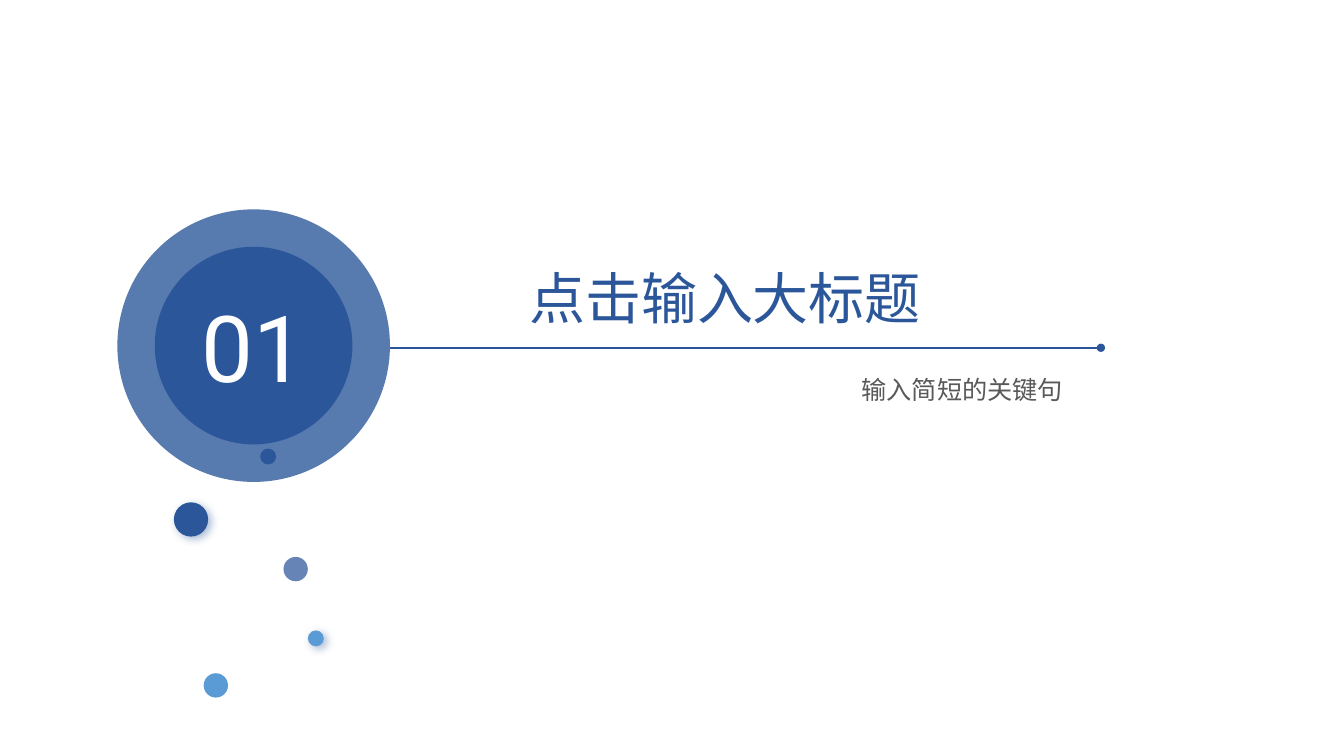
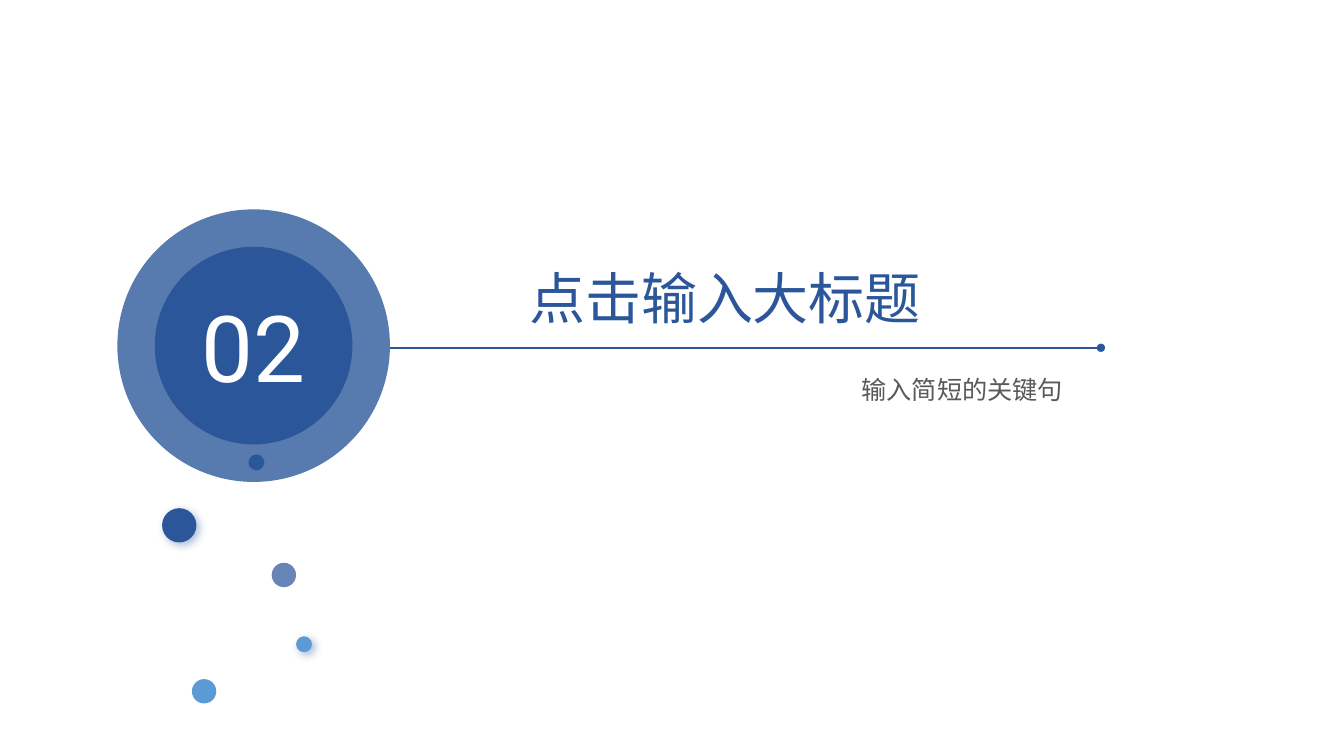
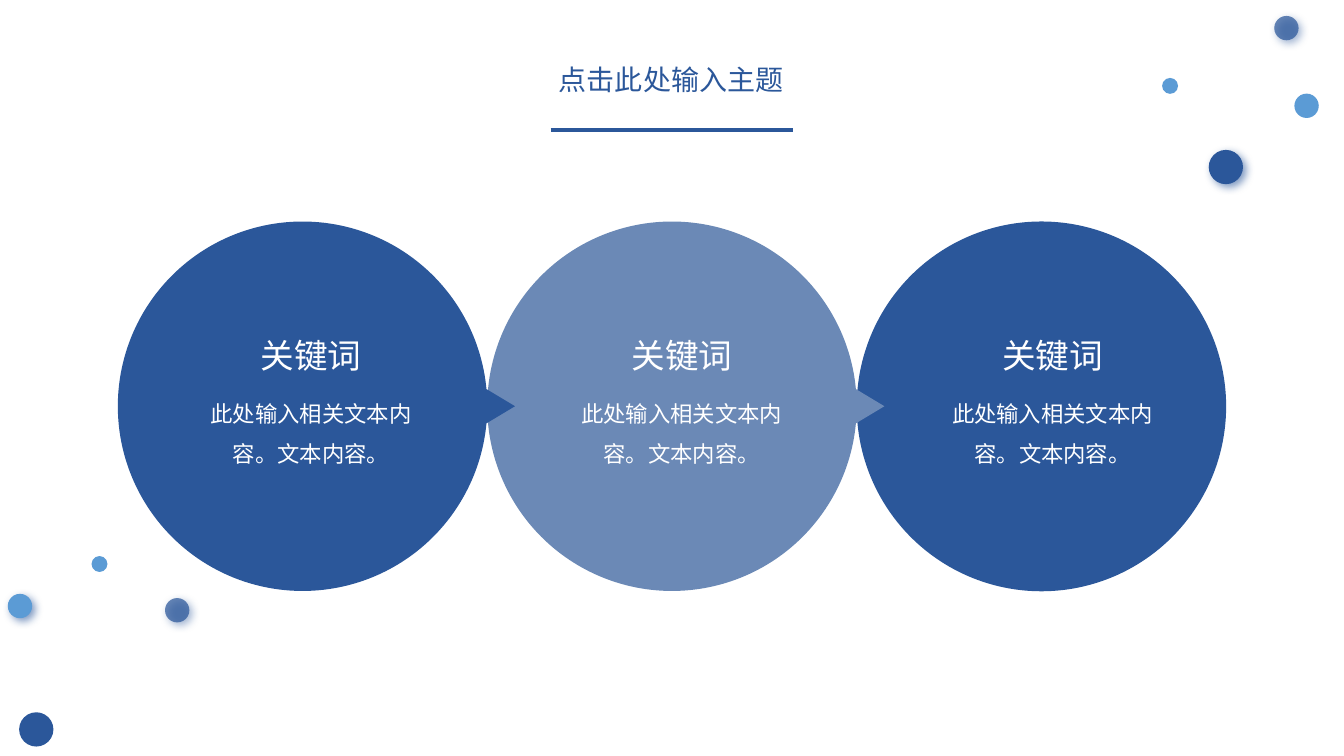
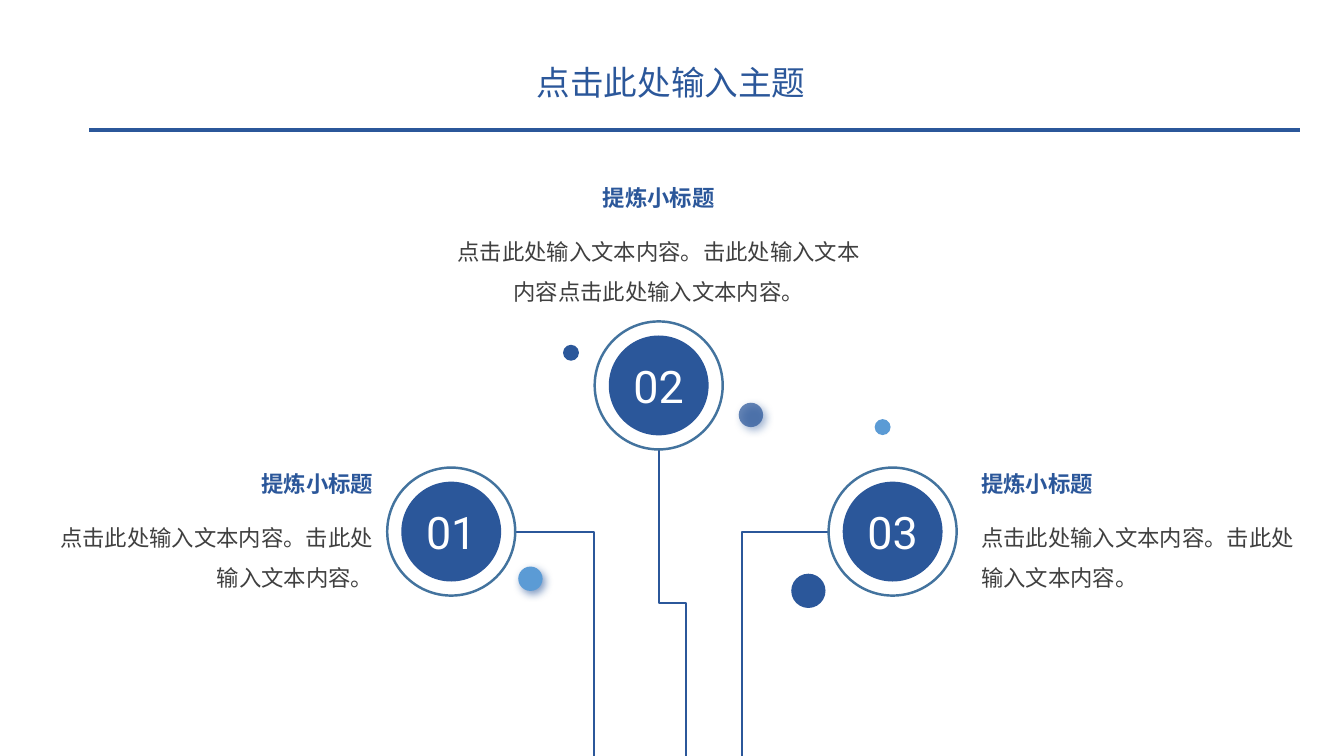
from math import asin, cos, degrees, sin

from lxml.etree import Element, SubElement
from pptx import Presentation
from pptx.dml.color import RGBColor
from pptx.enum.shapes import MSO_CONNECTOR, MSO_SHAPE
from pptx.enum.text import MSO_ANCHOR, MSO_AUTO_SIZE, PP_ALIGN
from pptx.oxml.ns import qn
from pptx.util import Emu, Pt

COLUMNS, ROWS, CELL = 160, 90, 76200
BLUE, SKY, MIST, STEEL = "2B579A", "5B9BD5", "6B89B6", "43739E"
WHITE, GREY, CHARCOAL = "FFFFFF", "595959", "404040"
TEXT_FONT, BOLD_FONT, NUMBER_FONT = "Noto Sans CJK SC", "Noto Sans CJK JP", "Roboto"
SINGLE, WIDE = 1.2, 1.78
TITLE_BOX = (32.85, 6.8, 94.1, 6)
RULE_ROW = 15.45
DOTS = {
    "veil": (2.9, BLUE, 72),
    "large": (4.08, BLUE, 100),
    "sky": (2.9, SKY, 100),
    "small sky": (1.9, SKY, 100),
    "small blue": (1.9, BLUE, 100),
}
SECTION_DOTS = [
    ("veil", 13.05, 12.9, 0),
    ("large", 0, 6.4, 40),
    ("sky", 3.55, 26.75, 0),
    ("small sky", 15.95, 21.65, 40),
    ("small blue", 10.28, 0, 0),
]
CHAIN_DOTS = [
    ("veil", 19.65, 71.2, 60),
    ("large", 2.28, 84.8, 0),
    ("sky", 0.93, 70.7, 60),
    ("small sky", 10.9, 66.2, 0),
    ("veil", 151.7, 1.9, 60),
    ("large", 143.9, 17.85, 60),
    ("sky", 154.1, 11.15, 0),
    ("small sky", 138.35, 9.28, 0),
]
TREE_DOTS = [
    ("veil", 87.95, 47.95, 60),
    ("large", 94.2, 68.3, 0),
    ("sky", 61.7, 67.45, 60),
    ("small sky", 104.13, 49.9, 0),
    ("small blue", 67.03, 41.05, 0),
]


def cells(*values):
    """Turn grid cells into slide lengths."""
    return [Emu(round(value * CELL)) for value in values]


def color(value):
    """Turn a hex string into a colour."""
    return RGBColor.from_string(value)


def paint(shape, fill=None, alpha=100, shadow=0):
    """Fill a shape and give it no outline, with optional opacity and shadow."""
    shape.shadow.inherit = False
    shape.line.fill.background()
    if fill is None:
        shape.fill.background()
        return
    shape.fill.solid()
    shape.fill.fore_color.rgb = color(fill)
    properties = shape._element.spPr
    if alpha < 100:
        tint = properties.find(qn("a:solidFill"))[0]
        SubElement(tint, qn("a:alpha"), val=str(alpha * 1000))
    if shadow:
        outer = SubElement(
            properties.find(qn("a:effectLst")), qn("a:outerShdw"),
            blurRad=str(Pt(6)), dist=str(Pt(3)), dir="2700000",
            algn="tl", rotWithShape="0",
        )
        tint = SubElement(outer, qn("a:srgbClr"), val=BLUE)
        SubElement(tint, qn("a:alpha"), val=str(shadow * 1000))


def ellipse(slide, box, **look):
    """Add a painted ellipse."""
    shape = slide.shapes.add_shape(MSO_SHAPE.OVAL, *cells(*box))
    paint(shape, **look)
    return shape


def write(paragraph, text, size, tint, font=TEXT_FONT, bold=False,
          align=PP_ALIGN.LEFT, spacing=None, before=0, after=0):
    """Write one run into a paragraph and format both."""
    paragraph.alignment = align
    paragraph.space_before, paragraph.space_after = Pt(before), Pt(after)
    if spacing:
        paragraph.line_spacing = Pt(round(size * spacing, 1))
    run = paragraph.add_run()
    run.text = text
    run.font.size, run.font.bold = Pt(size), bold
    run.font.color.rgb = color(tint)
    run.font.name = font
    SubElement(run._r.get_or_add_rPr(), qn("a:ea"), typeface=font)


def fill_placeholder(placeholder, box, text, size, tint, align=PP_ALIGN.LEFT):
    """Move a placeholder and write its single line."""
    placeholder.left, placeholder.top, placeholder.width, placeholder.height = cells(*box)
    frame = placeholder.text_frame
    frame.word_wrap, frame.auto_size = True, MSO_AUTO_SIZE.NONE
    frame.vertical_anchor = MSO_ANCHOR.TOP
    write(frame.paragraphs[0], text, size, tint, align=align, spacing=SINGLE)


def text_pair(slide, box, heading, body, margin=None):
    """Add a text box with a heading and a body, each given as write() options."""
    frame = slide.shapes.add_textbox(*cells(*box)).text_frame
    frame.word_wrap = True
    if margin is not None:
        frame.margin_left = frame.margin_right = margin
        frame.margin_top = frame.margin_bottom = margin
    write(frame.paragraphs[0], spacing=WIDE, **heading)
    write(frame.add_paragraph(), spacing=WIDE, **body)


def connector(slide, kind, start, end, width):
    """Add a blue connector without a shadow."""
    line = slide.shapes.add_connector(kind, *cells(*start, *end))
    line.line.color.rgb = color(BLUE)
    line.line.width = Pt(width)
    SubElement(line._element.spPr, qn("a:effectLst"))
    return line


def corner(slide, start, end):
    """Add a connector that runs across and then down."""
    line = connector(slide, MSO_CONNECTOR.ELBOW, start, end, 1.5)
    line._element.spPr.find(qn("a:prstGeom")).set("prst", "bentConnector2")


def step(slide, start, end):
    """Add a connector that runs down, across and down again."""
    middle_x, middle_y = (start[0] + end[0]) / 2, (start[1] + end[1]) / 2
    half_width, half_height = (end[0] - start[0]) / 2, (end[1] - start[1]) / 2
    line = connector(
        slide, MSO_CONNECTOR.ELBOW,
        (middle_x + half_height, middle_y - half_width),
        (middle_x - half_height, middle_y + half_width), 1.5,
    )
    line._element.spPr.find(qn("a:xfrm")).set("rot", "16200000")


def number_disk(slide, box, share, number, size):
    """Centre a numbered disk inside a box, as a share of its size."""
    left, top, width, height = box
    inset = (1 - share) / 2
    disk = ellipse(
        slide,
        (left + width * inset, top + height * inset, width * share, height * share),
        fill=BLUE,
    )
    frame = disk.text_frame
    frame.margin_left = frame.margin_right = frame.margin_top = frame.margin_bottom = 0
    frame.word_wrap, frame.vertical_anchor = False, MSO_ANCHOR.MIDDLE
    write(frame.paragraphs[0], number, size, WHITE, NUMBER_FONT, align=PP_ALIGN.CENTER)


def scatter(slide, dots, left=0, top=0):
    """Place decorative dots relative to an origin."""
    for kind, x, y, shadow in dots:
        size, fill, alpha = DOTS[kind]
        ellipse(slide, (left + x, top + y, size, size),
                fill=fill, alpha=alpha, shadow=shadow)


def header(slide, size, rule_start, rule_end):
    """Write the slide title and draw the rule below it."""
    fill_placeholder(slide.shapes.title, TITLE_BOX, "点击此处输入主题",
                     size, BLUE, PP_ALIGN.CENTER)
    connector(slide, MSO_CONNECTOR.STRAIGHT,
              (rule_start, RULE_ROW), (rule_end, RULE_ROW), 2.5)


def pointer_circle(slide, box, fill):
    """Draw a circle with a small pointer on its right side."""
    left, top, size = box[:3]
    radius, half_base, reach = size / 2, 2.04, 3.3
    center_x, center_y = left + radius, top + radius
    opening = asin(half_base / radius)
    base_x, base_y = radius * cos(opening), radius * sin(opening)
    corners = [(base_x, base_y), (0, radius), (-radius, 0), (0, -radius), (base_x, -base_y)]
    builder = slide.shapes.build_freeform(*cells(center_x + radius + reach, center_y))
    builder.add_line_segments([cells(center_x + x, center_y + y) for x, y in corners])
    shape = builder.convert_to_shape()
    paint(shape, fill)
    angles = [degrees(opening), 90, 180, 270, 360 - degrees(opening)]
    sides = list(shape._element.iter(qn("a:lnTo")))[1:5]
    reach_of_arc = str(round(radius * CELL))
    for side, start, end in zip(sides, angles, angles[1:]):
        arc = Element(
            qn("a:arcTo"), wR=reach_of_arc, hR=reach_of_arc,
            stAng=str(round(start * 60000)), swAng=str(round((end - start) * 60000)),
        )
        side.getparent().replace(side, arc)


def chain(slide, box):
    """Draw the three linked circles and their texts."""
    left, top, width, height = box
    size = width / 3
    lefts = [left + size * i for i in range(3)]
    ellipse(slide, (lefts[2], top, size, height), fill=BLUE)
    pointer_circle(slide, (lefts[1], top, size, height), MIST)
    pointer_circle(slide, (lefts[0], top, size, height), BLUE)
    shared = dict(tint=WHITE, align=PP_ALIGN.CENTER, after=9)
    for i in range(3):
        text_pair(
            slide, (left + 10.07 + 44.13 * i, top + 11.15, 25.9, 23.4),
            dict(text="关键词", size=24, **shared),
            dict(text="此处输入相关文本内容。文本内容。", size=16, **shared),
            margin=0,
        )


def ring(slide, box, number):
    """Draw an outlined ring around a numbered disk."""
    outline = ellipse(slide, box)
    outline.line.color.rgb = color(STEEL)
    outline.line.width = Pt(1.75)
    number_disk(slide, box, 0.78, number, 32)


def note(slide, box, body, align):
    """Write a subheading with its text."""
    text_pair(
        slide, box,
        dict(text="提炼小标题", size=16, tint=BLUE, font=BOLD_FONT, bold=True, align=align),
        dict(text=body, size=16, tint=CHARCOAL, align=align, before=10),
    )


def tree(slide, box):
    """Draw three numbered rings on stems that reach the bottom of the box."""
    left, top, width, height = box
    bottom, size = top + height, 15.24
    lower, upper = top + 39.67, top + 22.27
    first, second, third = left + 46.1, left + 70.8, left + 98.65
    corner(slide, (first + size, lower + size / 2), (second - 0.04, bottom))
    corner(slide, (third, lower + size / 2), (left + 88.3, bottom))
    step(slide, (second + size / 2, upper + size), (left + 81.65, bottom))
    ring(slide, (first, lower, size, size), "01")
    ring(slide, (second, upper, size, size), "02")
    ring(slide, (third, lower, size, size), "03")
    side_text = "点击此处输入文本内容。击此处输入文本内容。"
    top_text = "点击此处输入文本内容。击此处输入文本内容点击此处输入文本内容。"
    note(slide, (left + 5.4, lower - 1.86, 40.2, 22), side_text, PP_ALIGN.RIGHT)
    note(slide, (left + 52.73, top + 3.76, 51.4, 16.2), top_text, PP_ALIGN.CENTER)
    note(slide, (left + 115.65, lower - 1.86, 40.9, 22), side_text, PP_ALIGN.LEFT)


def section_slide(presentation, number, dots_left, dots_top):
    """Build a section opener."""
    slide = presentation.slides.add_slide(presentation.slide_layouts[2])
    emblem = (13.97, 24.92, 32.45, 32.45)
    ellipse(slide, emblem, fill=BLUE, alpha=79)
    number_disk(slide, emblem, 0.725, number, 66)
    title, subtitle = slide.placeholders
    fill_placeholder(title, (61.8, 30.82, 52, 9.3), "点击输入大标题", 40, BLUE)
    fill_placeholder(subtitle, (101.37, 43.96, 30, 4.8), "输入简短的关键句", 18, GREY)
    line = connector(slide, MSO_CONNECTOR.STRAIGHT, (46.4, 41.4), (131.06, 41.4), 1.25)
    SubElement(line._element.spPr.find(qn("a:ln")), qn("a:tailEnd"), type="oval")
    scatter(slide, SECTION_DOTS, dots_left, dots_top)


def chain_slide(presentation):
    """Build the slide with three linked keywords."""
    slide = presentation.slides.add_slide(presentation.slide_layouts[5])
    chain(slide, (14.03, 26.37, 131.94, 44.02))
    header(slide, 20, 65.55, 94.45)
    scatter(slide, CHAIN_DOTS)


def tree_slide(presentation):
    """Build the slide with three numbered branches."""
    slide = presentation.slides.add_slide(presentation.slide_layouts[5])
    tree(slide, (0, 16, COLUMNS, ROWS - 16))
    header(slide, 24, 10.6, 154.8)
    scatter(slide, TREE_DOTS)


def main():
    """Build and save the presentation."""
    presentation = Presentation()
    presentation.slide_width, presentation.slide_height = cells(COLUMNS, ROWS)
    section_slide(presentation, "01", 20.7, 53.4)
    section_slide(presentation, "02", 19.3, 54.1)
    chain_slide(presentation)
    tree_slide(presentation)
    presentation.save("out.pptx")


if __name__ == "__main__":
    main()
